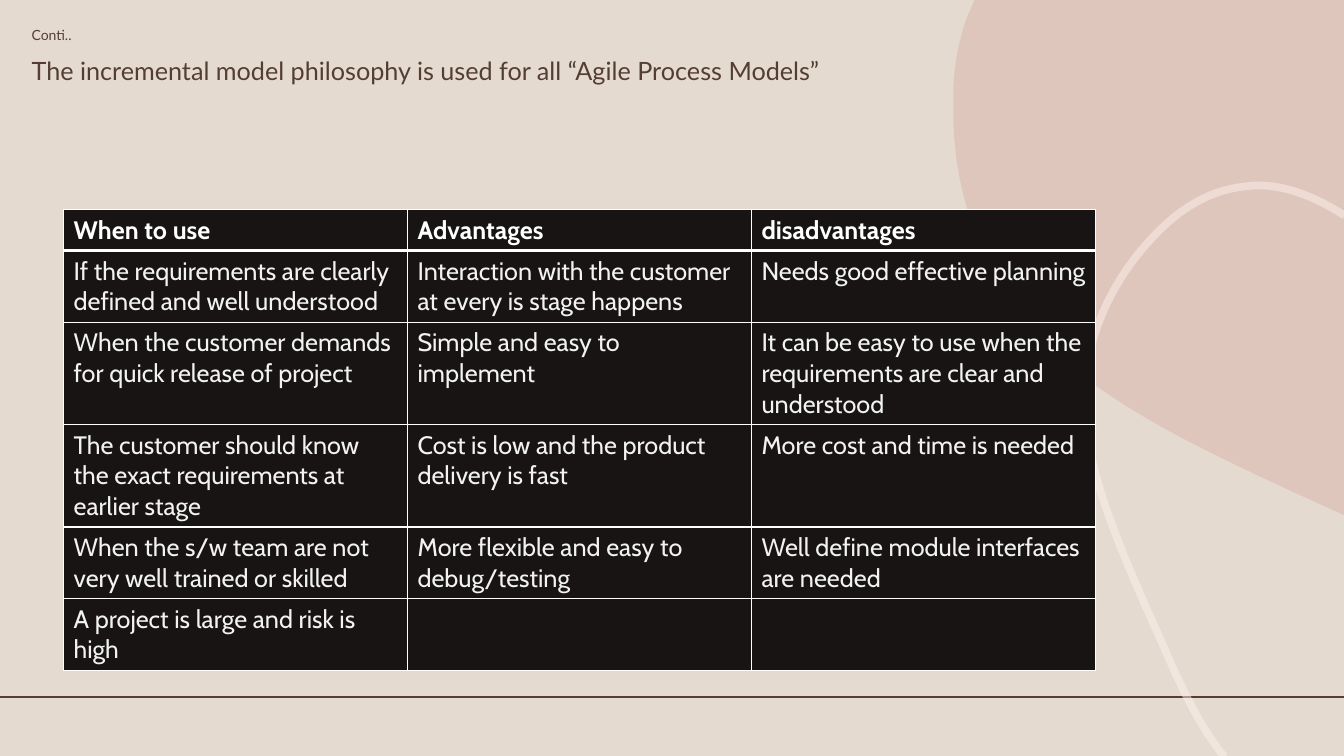
"""Build the slide on when to use the incremental model, with its gains and costs."""
import dataclasses

import lxml.etree
import pptx
import pptx.dml.color
import pptx.enum.shapes
import pptx.enum.text
import pptx.oxml.ns
import pptx.shapes.autoshape
import pptx.slide
import pptx.table
import pptx.text.text
import pptx.util

Pt = pptx.util.Pt
qn = pptx.oxml.ns.qn
Point = tuple[float, float]


@dataclasses.dataclass(frozen=True)
class Theme:
    ground: str = "E5DACF"
    brown: str = "543E34"
    rose: str = "CF9B92"
    cream: str = "FEF3ED"
    black: str = "171413"
    white: str = "FFFFFF"
    pale: str = "F2F2F2"
    head_font: str = "Lato"
    cell_font: str = "Cabin"
    small: float = 10
    large: float = 18


@dataclasses.dataclass(frozen=True)
class Curve:
    start: Point
    sides: list[Point]
    bends: list[tuple[Point, Point, Point]]
    colour: str
    alpha: int
    width: float = 0


@dataclasses.dataclass(frozen=True)
class Row:
    use: str
    gain: str = ""
    cost: str = ""


THEME = Theme()
WIDE, HIGH = 960, 540

CURVES = [
    Curve((696.2, 0), [(WIDE, 0), (WIDE, 367.9), (941, 359.3)], [
        ((817.9, 303.1), (743, 265.7), (704.2, 183.6)),
        ((682.6, 139), (680.4, 97.2), (681.1, 72.7)),
        ((680.4, 56.9), (682.6, 35.3), (690.5, 13)),
    ], THEME.rose, 30),
    Curve((874.8, 540.7), [], [
        ((862.6, 526.3), (848.9, 503.3), (832.3, 464.4)),
        ((787.7, 365), (761.8, 305.3), (781.9, 239)),
        ((792.7, 205.2), (811.4, 182.2), (823.7, 169.2)),
        ((835.9, 156.2), (858.2, 136.1), (889.9, 133.2)),
        ((893.5, 132.5), (897.8, 132.5), (901.4, 132.5)),
        ((920.9, 133.2), (941.8, 141.8), (960.5, 154.1)),
    ], THEME.cream, 50, width=5.5),
]

ROWS = [
    Row("When to use", "Advantages", "disadvantages"),
    Row("If the requirements are clearly defined and well understood",
        "Interaction with the customer at every is stage happens",
        "Needs good effective planning"),
    Row("When the customer demands for quick release of project",
        "Simple and easy to implement",
        "It can be easy to use when the requirements are clear and understood"),
    Row("The customer should know the exact requirements at earlier stage",
        "Cost is low and the product delivery is fast",
        "More cost and time is needed"),
    Row("When the s/w team are not very well trained or skilled",
        "More flexible and easy to debug/testing",
        "Well define module interfaces are needed"),
    Row("A project is large and risk is high"),
]


def tint(code: str) -> pptx.dml.color.RGBColor:
    return pptx.dml.color.RGBColor.from_string(code)


def style(para: pptx.text.text._Paragraph, font: str, size: float,
          colour: str, bold: bool = False) -> None:
    for run in para.runs:
        run.font.name = font
        run.font.size = Pt(size)
        run.font.bold = bold
        run.font.color.rgb = tint(colour)


def bend_lines(shape: pptx.shapes.autoshape.Shape, skip: int) -> None:
    lines = list(shape.element.iter(qn("a:lnTo")))[skip:]
    for first in range(0, len(lines), 3):
        bend = lxml.etree.Element(qn("a:cubicBezTo"))
        lines[first].addprevious(bend)
        for line in lines[first:first + 3]:
            bend.append(line[0])
            line.getparent().remove(line)


def draw_curve(slide: pptx.slide.Slide, curve: Curve) -> None:
    points = curve.sides + [point for bend in curve.bends for point in bend]
    pen = slide.shapes.build_freeform(*map(Pt, curve.start))
    pen.add_line_segments([(Pt(x), Pt(y)) for x, y in points], close=not curve.width)
    shape = pen.convert_to_shape()
    bend_lines(shape, len(curve.sides))
    shape.shadow.inherit = False
    if curve.width:
        shape.fill.background()
        shape.line.color.rgb = tint(curve.colour)
        shape.line.width = Pt(curve.width)
    else:
        shape.fill.solid()
        shape.fill.fore_color.rgb = tint(curve.colour)
        shape.line.fill.background()
    for node in shape.element.spPr.iter(qn("a:srgbClr")):
        lxml.etree.SubElement(node, qn("a:alpha"), val=str(curve.alpha * 1000))


def draw_rule(slide: pptx.slide.Slide) -> None:
    rule = slide.shapes.add_connector(
        pptx.enum.shapes.MSO_CONNECTOR.STRAIGHT, Pt(0), Pt(498), Pt(WIDE), Pt(498))
    rule.line.color.rgb = tint(THEME.brown)
    rule.line.width = Pt(1.25)
    lxml.etree.SubElement(rule.element.spPr, qn("a:effectLst"))


def draw_title(slide: pptx.slide.Slide) -> None:
    title = slide.shapes.title
    title.left, title.top, title.width, title.height = Pt(15.4), Pt(14.4), Pt(828), Pt(53.3)
    frame = title.text_frame
    frame.text = ("Conti..\n"
                  "The incremental model philosophy is used for all “Agile Process Models”")
    frame.word_wrap = True
    frame.auto_size = pptx.enum.text.MSO_AUTO_SIZE.NONE
    frame.vertical_anchor = pptx.enum.text.MSO_ANCHOR.MIDDLE
    for para, size, gap in zip(frame.paragraphs, (THEME.small, THEME.large), (0, 11)):
        para.alignment = pptx.enum.text.PP_ALIGN.LEFT
        para.line_spacing = 0.9
        para.space_before = Pt(gap)
        style(para, THEME.head_font, size, THEME.brown)


def edge(cell: pptx.table._Cell, top: float, base: float) -> None:
    props = cell._tc.get_or_add_tcPr()
    for spot, (side, width) in enumerate(zip("LRTB", (1, 1, top, base))):
        line = lxml.etree.Element(qn(f"a:ln{side}"), w=str(Pt(width)))
        fill = lxml.etree.SubElement(line, qn("a:solidFill"))
        lxml.etree.SubElement(fill, qn("a:srgbClr"), val=THEME.white)
        props.insert(spot, line)


def draw_table(slide: pptx.slide.Slide) -> None:
    frame = slide.shapes.add_table(
        len(ROWS), 3, Pt(45.4), Pt(149.8), Pt(737.1), Pt(346.3))
    table = frame.table
    table.horz_banding = False
    for r, row in enumerate(ROWS):
        table.rows[r].height = Pt(29.2)
        for c, text in enumerate(dataclasses.astuple(row)):
            cell = table.cell(r, c)
            cell.fill.solid()
            cell.fill.fore_color.rgb = tint(THEME.black)
            edge(cell, 3 if r == 1 else 1, 3 if r == 0 else 1)
            cell.text_frame.text = text
            style(cell.text_frame.paragraphs[0], THEME.cell_font, THEME.large,
                  THEME.pale if r else THEME.white, bold=r == 0)
    frame.height = Pt(346.3)


def main() -> None:
    deck = pptx.Presentation()
    deck.slide_width, deck.slide_height = Pt(WIDE), Pt(HIGH)
    slide = deck.slides.add_slide(deck.slide_layouts[5])
    slide.background.fill.solid()
    slide.background.fill.fore_color.rgb = tint(THEME.ground)
    draw_rule(slide)
    for curve in CURVES:
        draw_curve(slide, curve)
    draw_title(slide)
    draw_table(slide)
    deck.save("out.pptx")


if __name__ == "__main__":
    main()
